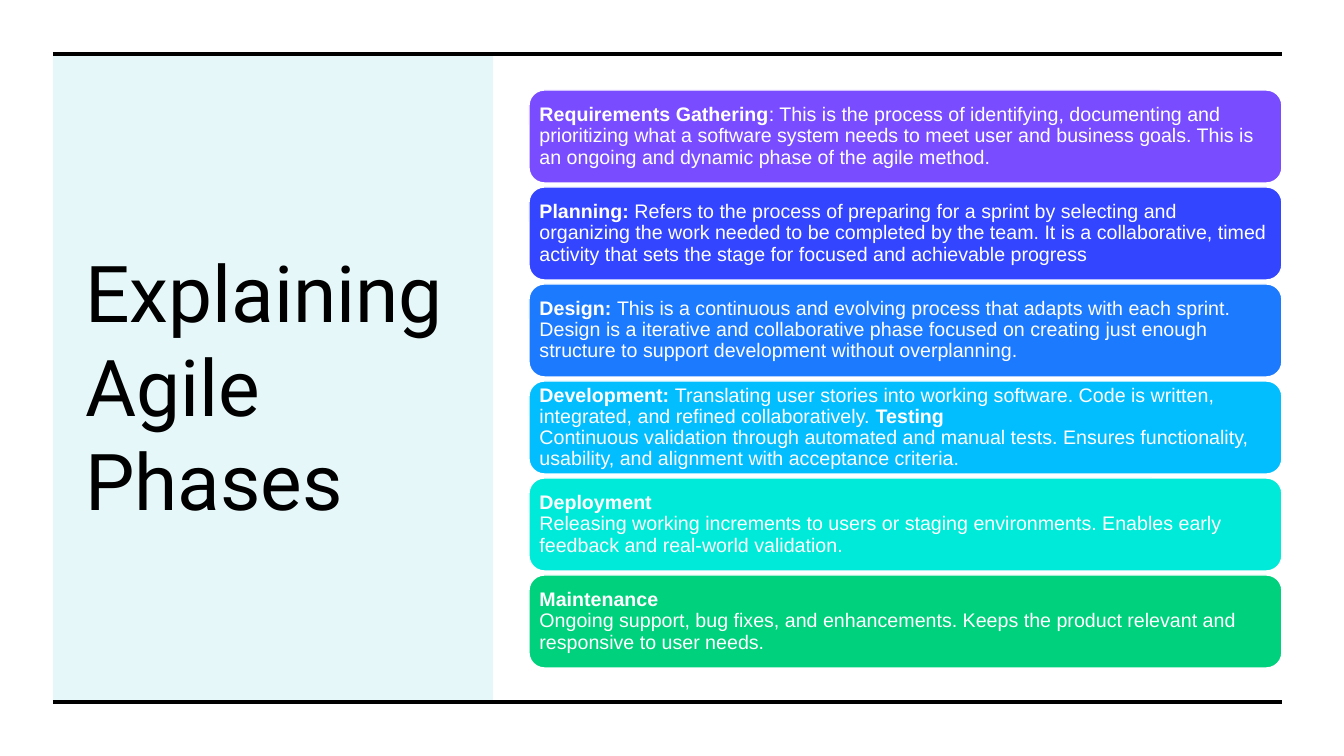
from dataclasses import dataclass

from lxml.etree import SubElement
from pptx import Presentation
from pptx.dml.color import RGBColor
from pptx.enum.shapes import MSO_CONNECTOR as Connector, MSO_SHAPE as Shape
from pptx.enum.text import MSO_ANCHOR as Anchor, MSO_AUTO_SIZE as AutoSize, PP_ALIGN as Align
from pptx.oxml.ns import qn
from pptx.util import Emu, Pt

SLIDE_W, SLIDE_H = 1344, 756
LEFT, RIGHT = 53, 1282
RULE_TOP, RULE_BOTTOM = 54, 702
CARD_X, CARD_Y, CARD_W, CARD_H, CARD_STEP = 529, 90, 753, 93, 97


@dataclass(frozen=True)
class Theme:
    ink: str = "000000"
    paper: str = "FFFFFF"
    panel: str = "00BAC8"
    panel_opacity: int = 10
    cards: tuple = ("794DFF", "3445FF", "1C7AFF", "03BEFF", "00EAD9", "00D17D")
    title_font: str = "Roboto"
    body_font: str = "Arial"
    title_size: int = 56
    body_size: int = 14


PHASES = [
    [("Requirements Gathering", True),
     (": This is the process of identifying, documenting and prioritizing what a software "
      "system needs to meet user and business goals. This is an ongoing and dynamic phase "
      "of the agile method.", False)],
    [("Planning: ", True),
     ("Refers to the process of preparing for a sprint by selecting and organizing the work "
      "needed to be completed by the team. It is a collaborative, timed activity that sets "
      "the stage for focused and achievable progress", False)],
    [("Design: ", True),
     ("This is a continuous and evolving process that adapts with each sprint. Design is a "
      "iterative and collaborative phase focused on creating just enough structure to support "
      "development without overplanning.", False)],
    [("Development: ", True),
     ("Translating user stories into working software. Code is written, integrated, and "
      "refined collaboratively. ", False),
     ("Testing\n", True),
     ("Continuous validation through automated and manual tests. Ensures functionality, "
      "usability, and alignment with acceptance criteria.", False)],
    [("Deployment\n", True),
     ("Releasing working increments to users or staging environments. Enables early feedback "
      "and real-world validation.", False)],
    [("Maintenance\n", True),
     ("Ongoing support, bug fixes, and enhancements. Keeps the product relevant and "
      "responsive to user needs.", False)],
]


def px(n):
    return Emu(round(n * 914400 / 100.8))


class Deck:
    def __init__(self, theme):
        self.theme = theme
        self.prs = Presentation()
        self.prs.slide_width, self.prs.slide_height = px(SLIDE_W), px(SLIDE_H)
        self.s = self.prs.slides.add_slide(self.prs.slide_layouts[5])

    def run(self, p, text, font, size, color, bold=False):
        r = p.add_run()
        r.text = text.rstrip("\n")
        r.font.name, r.font.size, r.font.bold = font, Pt(size), bold
        r.font.color.rgb = RGBColor.from_string(color)
        if text.endswith("\n"):
            br = SubElement(p._p, qn("a:br"))
            SubElement(br, qn("a:rPr"), sz=str(size * 100))

    def shape(self, kind, x, y, w, h, color):
        sp = self.s.shapes.add_shape(kind, px(x), px(y), px(w), px(h))
        sp.shadow.inherit = False
        sp.fill.solid()
        sp.fill.fore_color.rgb = RGBColor.from_string(color)
        return sp

    def panel(self, x, y, w, h):
        sp = self.shape(Shape.RECTANGLE, x, y, w, h, self.theme.panel)
        sp.line.fill.background()
        clr = sp._element.spPr.find(".//" + qn("a:srgbClr"))
        SubElement(clr, qn("a:alpha"), val=str(self.theme.panel_opacity * 1000))

    def title(self, text, x, y, w, h):
        sp = self.s.shapes.title
        self.s.shapes[-1]._element.addnext(sp._element)
        sp.left, sp.top, sp.width, sp.height = px(x), px(y), px(w), px(h)
        tf = sp.text_frame
        tf.word_wrap, tf.auto_size = True, AutoSize.NONE
        tf.vertical_anchor = Anchor.MIDDLE
        p = tf.paragraphs[0]
        p.alignment = Align.LEFT
        self.run(p, text, self.theme.title_font, self.theme.title_size, self.theme.ink)

    def rule(self, x1, x2, y):
        line = self.s.shapes.add_connector(Connector.STRAIGHT, px(x1), px(y), px(x2), px(y))
        line.line.color.rgb = RGBColor.from_string(self.theme.ink)
        line.line.width = Pt(2.25)
        SubElement(line._element.spPr, qn("a:effectLst"))

    def card(self, runs, x, y, w, h, color):
        sp = self.shape(Shape.ROUNDED_RECTANGLE, x, y, w, h, color)
        sp.line.color.rgb = RGBColor.from_string(self.theme.paper)
        sp.line.width = Pt(1)
        tf = sp.text_frame
        tf.word_wrap = True
        tf.vertical_anchor = Anchor.MIDDLE
        tf.margin_left = tf.margin_right = tf.margin_top = tf.margin_bottom = px(6)
        p = tf.paragraphs[0]
        p.alignment, p.line_spacing = Align.LEFT, 0.9
        for text, bold in runs:
            self.run(p, text, self.theme.body_font, self.theme.body_size, self.theme.paper, bold)


def main():
    theme = Theme()
    deck = Deck(theme)
    deck.panel(LEFT, RULE_TOP, 440, RULE_BOTTOM - RULE_TOP)
    deck.title("Explaining Agile Phases", 75, 108, 392, 554)
    for y in (RULE_TOP, RULE_BOTTOM):
        deck.rule(LEFT, RIGHT, y)
    for i, (runs, color) in enumerate(zip(PHASES, theme.cards)):
        deck.card(runs, CARD_X, CARD_Y + i * CARD_STEP, CARD_W, CARD_H, color)
    deck.prs.save("out.pptx")


if __name__ == "__main__":
    main()
